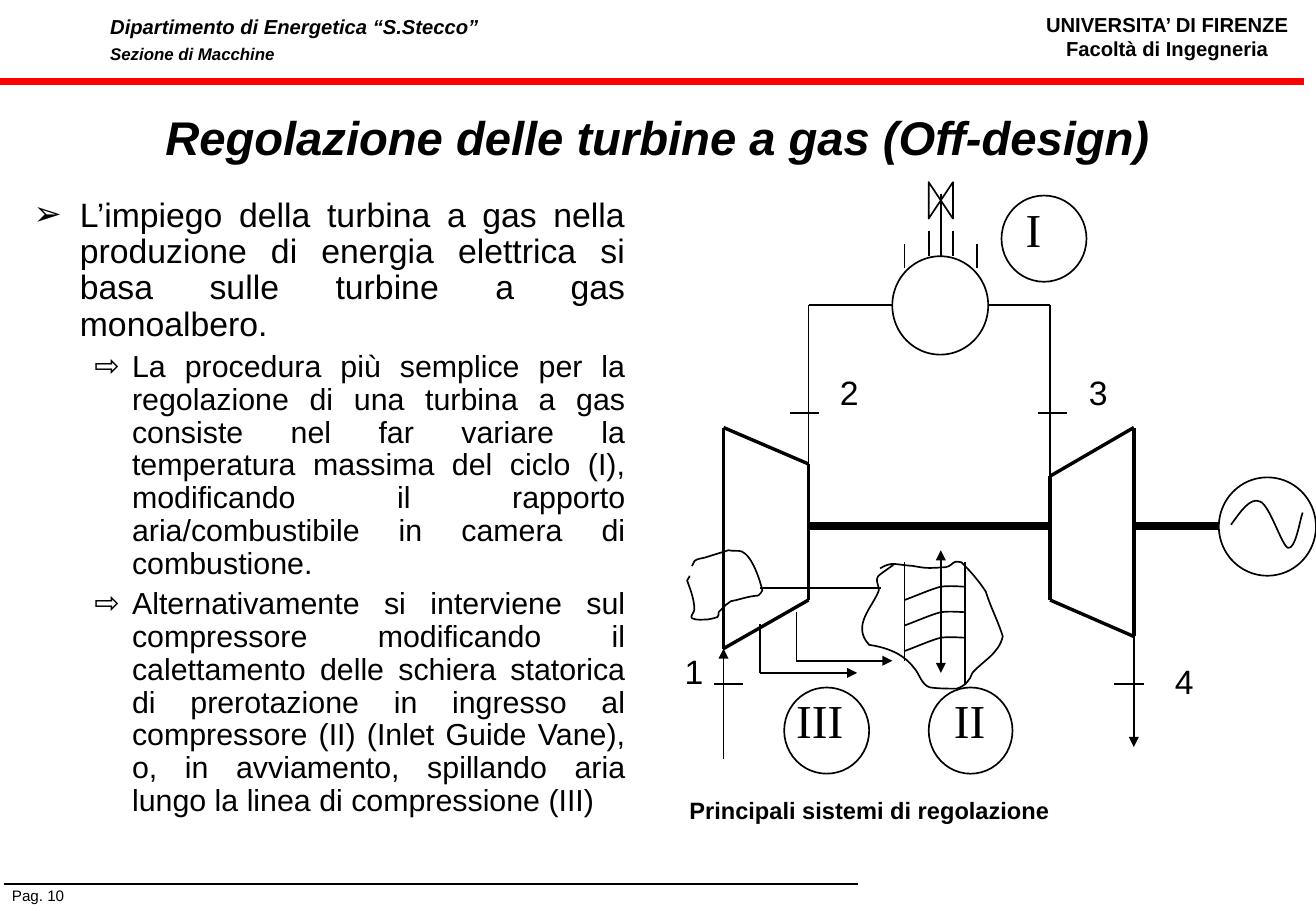
from dataclasses import dataclass
from itertools import pairwise

from lxml import etree
from pptx import Presentation
from pptx.dml.color import RGBColor
from pptx.enum.shapes import MSO_CONNECTOR, MSO_SHAPE
from pptx.enum.text import MSO_ANCHOR, MSO_AUTO_SIZE, PP_ALIGN
from pptx.oxml.ns import qn
from pptx.util import Emu, Pt

PX = 9144  # EMU in one px, 100 px to the inch
BLACK = RGBColor(0x00, 0x00, 0x00)
RED = RGBColor(0xFF, 0x00, 0x00)
STRAIGHT, OVAL = MSO_CONNECTOR.STRAIGHT, MSO_SHAPE.OVAL
LEFT, CENTER, JUSTIFY = PP_ALIGN.LEFT, PP_ALIGN.CENTER, PP_ALIGN.JUSTIFY
FIT, FIXED = MSO_AUTO_SIZE.SHAPE_TO_FIT_TEXT, MSO_AUTO_SIZE.NONE
MIDDLE = MSO_ANCHOR.MIDDLE

Point = tuple[int, int]
Box = tuple[int, int, int, int]


@dataclass(frozen=True)
class Label:
    box: Box
    lines: tuple[str, ...]
    sizes: tuple[int, ...]
    font: str = "Arial"
    bold: bool = False
    italic: bool = False
    wrap: bool = False
    align: PP_ALIGN = LEFT
    spacing: Pt | None = None


@dataclass(frozen=True)
class Route:
    points: tuple[Point, ...]
    width: float = 1
    arrow: bool = False
    color: RGBColor = BLACK


@dataclass(frozen=True)
class Item:
    text: str
    bullet: str
    size: int
    indent: int
    hanging: int
    before: float


LABELS = [
    Label((850, 5, 223, 50), ("UNIVERSITA’ DI FIRENZE", "Facoltà di Ingegneria"), (12, 12),
          bold=True, align=CENTER),
    Label((81, 6, 366, 51), ("Dipartimento di Energetica “S.Stecco”", "Sezione di Macchine"),
          (12, 10), bold=True, italic=True, wrap=True, spacing=Pt(15)),
    Label((0, 725, 117, 25), ("Pag. 10",), (9,), wrap=True),
    Label((558, 650, 500, 34), ("Principali sistemi di regolazione",), (14,), bold=True, wrap=True),
    *(Label((x, y, 35, 44), (state,), (20,))
      for state, x, y in (("1", 554, 531), ("2", 682, 301), ("3", 887, 301), ("4", 958, 539))),
    *(Label((x, y, w, 57), (numeral,), (28,), font="Times New Roman")
      for numeral, x, y, w in (("I", 835, 160, 33), ("II", 776, 564, 46), ("III", 646, 564, 59))),
]

ITEMS = [
    Item("L’impiego della turbina a gas nella produzione di energia elettrica si basa "
         "sulle turbine a gas monoalbero.", "➢", 20, 38, 38, 0),
    Item("La procedura più semplice per la regolazione di una turbina a gas consiste nel far "
         "variare la temperatura massima del ciclo (I), modificando il rapporto "
         "aria/combustibile in camera di combustione.", "⇨", 18, 81, 31, 4.5),
    Item("Alternativamente si interviene sul compressore modificando il calettamento delle "
         "schiera statorica di prerotazione in ingresso al compressore (II) (Inlet Guide Vane), "
         "o, in avviamento, spillando aria lungo la linea di compressione (III)",
         "⇨", 18, 81, 31, 4.5),
]

ROUTES = [
    # Header and footer rules
    Route(((0, 67), (1074, 67)), 4.5, color=RED),
    Route(((3, 728), (707, 728))),
    # Compressor, turbine and shaft
    Route(((596, 534), (596, 352), (666, 382), (666, 494), (596, 534)), 2),
    Route(((865, 494), (865, 392), (934, 352), (934, 524), (865, 494)), 2),
    Route(((666, 433), (865, 433)), 5),
    Route(((934, 433), (1004, 433)), 5),
    # Ducts to and from the combustor, inlet and exhaust
    Route(((666, 382), (666, 251), (735, 251))),
    Route(((815, 251), (865, 251), (865, 393))),
    Route(((596, 625), (596, 534)), arrow=True),
    Route(((934, 524), (934, 615)), arrow=True),
    # Burner and fuel line
    *(Route(((x, top), (x, bottom))) for x, top, bottom in (
        (745, 201, 221), (765, 190, 211), (775, 160, 211), (785, 190, 211), (805, 201, 221))),
    # Air bleeds
    Route(((626, 514), (626, 554), (706, 554)), arrow=True),
    Route(((656, 504), (656, 544), (735, 544)), arrow=True),
    # Guide vane detail
    Route(((626, 484), (726, 484))),
    Route(((745, 463), (745, 544))),
    Route(((795, 463), (795, 564))),
    Route(((775, 544), (775, 453)), arrow=True),
    Route(((775, 494), (775, 554)), arrow=True),
    # State marks
    *(Route(((x, y), (x + 24, y))) for x, y in ((588, 563), (918, 563), (651, 340), (855, 340))),
]

# Combustor, generator, then the rings around I, II and III
CIRCLES: list[Box] = [(735, 211, 79, 81), (1004, 393, 80, 81),
                      (825, 161, 70, 71), (765, 566, 69, 71), (646, 566, 70, 71)]

VALVE: list[Point] = [(775, 165), (765, 180), (765, 150), (785, 180), (785, 150)]

# Each curve is a start point followed by Bezier triples
SINE: list[Point] = [(1014, 432), (1022, 421), (1030, 409), (1038, 413), (1046, 416), (1056, 450),
                     (1061, 451), (1067, 453), (1071, 427), (1073, 422)]
INLET_CLOUD: list[Point] = [
    (570, 466), (571, 465), (571, 463), (572, 462), (574, 460), (577, 460), (581, 459),
    (587, 457), (594, 455), (600, 453), (604, 454), (608, 453), (611, 454),
    (620, 458), (626, 478), (628, 486), (627, 487), (627, 489), (625, 490),
    (624, 491), (621, 490), (619, 491), (613, 492), (608, 494), (602, 495),
    (601, 496), (599, 497), (598, 498), (596, 500), (592, 504), (592, 504),
    (592, 506), (592, 507), (591, 508), (589, 509), (583, 510), (583, 510),
    (579, 510), (574, 511), (570, 509), (568, 508), (572, 504), (572, 502),
    (572, 494), (569, 486), (566, 478), (568, 474), (568, 476), (568, 474)]
VANE_CLOUD: list[Point] = [
    (725, 468), (735, 462), (737, 465), (752, 466), (763, 468), (764, 468), (779, 467),
    (787, 465), (783, 461), (792, 463), (800, 471), (806, 478), (812, 487),
    (816, 500), (822, 511), (826, 524), (823, 538), (810, 544), (801, 554),
    (799, 560), (795, 565), (788, 567), (781, 567), (773, 567), (766, 566),
    (759, 564), (757, 554), (753, 550), (744, 538), (730, 533), (716, 531),
    (701, 515), (719, 500), (724, 486), (724, 482), (721, 478), (723, 475),
    (724, 473), (734, 467), (737, 464)]
VANES: list[list[Point]] = [
    [(745, y), (756, y - 4), (767, y - 9), (775, y - 11), (783, y - 12), (792, y - 11), (795, y - 11)]
    for y in (494, 515, 536)]


def emu(px: int) -> Emu:
    return Emu(px * PX)


def style_runs(p, size: int, font: str = "Arial", bold: bool = False, italic: bool = False) -> None:
    for r in p.runs:
        f = r.font
        f.size, f.name, f.bold, f.italic = Pt(size), font, bold, italic
        f.color.rgb = BLACK


def add_label(slide, label: Label) -> None:
    tf = slide.shapes.add_textbox(*map(emu, label.box)).text_frame
    tf.word_wrap, tf.auto_size = label.wrap, FIT
    tf.text = "\n".join(label.lines)
    for p, size in zip(tf.paragraphs, label.sizes):
        p.alignment, p.line_spacing = label.align, label.spacing
        style_runs(p, size, label.font, label.bold, label.italic)


def add_items(slide, box: Box, items: list[Item]) -> None:
    tf = slide.shapes.add_textbox(*map(emu, box)).text_frame
    tf.word_wrap, tf.auto_size = True, FIXED
    tf.text = "\n".join(item.text for item in items)
    for p, item in zip(tf.paragraphs, items):
        p.alignment, p.line_spacing, p.space_before = JUSTIFY, 0.9, Pt(item.before)
        pPr = p._p.get_or_add_pPr()
        pPr.set("marL", str(emu(item.indent)))
        pPr.set("indent", str(emu(-item.hanging)))
        color = etree.SubElement(pPr, qn("a:buClr"))
        etree.SubElement(color, qn("a:srgbClr"), val=str(BLACK))
        etree.SubElement(pPr, qn("a:buFont"), typeface="Arial")
        etree.SubElement(pPr, qn("a:buChar"), char=item.bullet)
        style_runs(p, item.size)


def add_route(slide, route: Route) -> None:
    for start, end in pairwise(route.points):
        line = slide.shapes.add_connector(STRAIGHT, *map(emu, start + end))
        line.line.color.rgb, line.line.width = route.color, Pt(route.width)
        spPr = line._element.spPr
        if route.arrow and end == route.points[-1]:
            etree.SubElement(spPr.find(qn("a:ln")), qn("a:tailEnd"), type="triangle")
        etree.SubElement(spPr, qn("a:effectLst"))


def outline(sp) -> None:
    sp.shadow.inherit = False
    sp.fill.background()
    sp.line.color.rgb, sp.line.width = BLACK, Pt(1)


def add_outline(slide, points: list[Point], closed: bool = False):
    start, *rest = [(emu(x), emu(y)) for x, y in points]
    builder = slide.shapes.build_freeform(*start)
    builder.add_line_segments(rest, close=closed)
    sp = builder.convert_to_shape()
    outline(sp)
    return sp


def add_curve(slide, points: list[Point]) -> None:
    sp = add_outline(slide, points)
    segments = list(sp._element.iter(qn("a:lnTo")))
    for first in range(0, len(segments), 3):
        triple = segments[first:first + 3]
        bezier = etree.Element(qn("a:cubicBezTo"))
        triple[0].addprevious(bezier)
        for segment in triple:
            bezier.append(segment[0])
            segment.getparent().remove(segment)


def main() -> None:
    prs = Presentation()
    prs.slide_width, prs.slide_height = emu(1084), emu(750)
    slide = prs.slides.add_slide(prs.slide_layouts[5])

    # Title
    title = slide.shapes.title
    title.left, title.top, title.width, title.height = map(emu, (81, 75, 921, 75))
    tf = title.text_frame
    tf.text = "Regolazione delle turbine a gas (Off-design)"
    tf.word_wrap, tf.auto_size, tf.vertical_anchor = True, FIXED, MIDDLE
    tf.paragraphs[0].alignment = CENTER
    style_runs(tf.paragraphs[0], 28, bold=True, italic=True)

    # Body text
    add_items(slide, (18, 158, 507, 567), ITEMS)

    # Plant diagram
    for route in ROUTES:
        add_route(slide, route)
    for box in CIRCLES:
        outline(slide.shapes.add_shape(OVAL, *map(emu, box)))
    add_outline(slide, VALVE, closed=True)
    for curve in (SINE, INLET_CLOUD, VANE_CLOUD, *VANES):
        add_curve(slide, curve)

    # Header, footer and diagram labels
    for label in LABELS:
        add_label(slide, label)

    prs.save("out.pptx")


if __name__ == "__main__":
    main()
